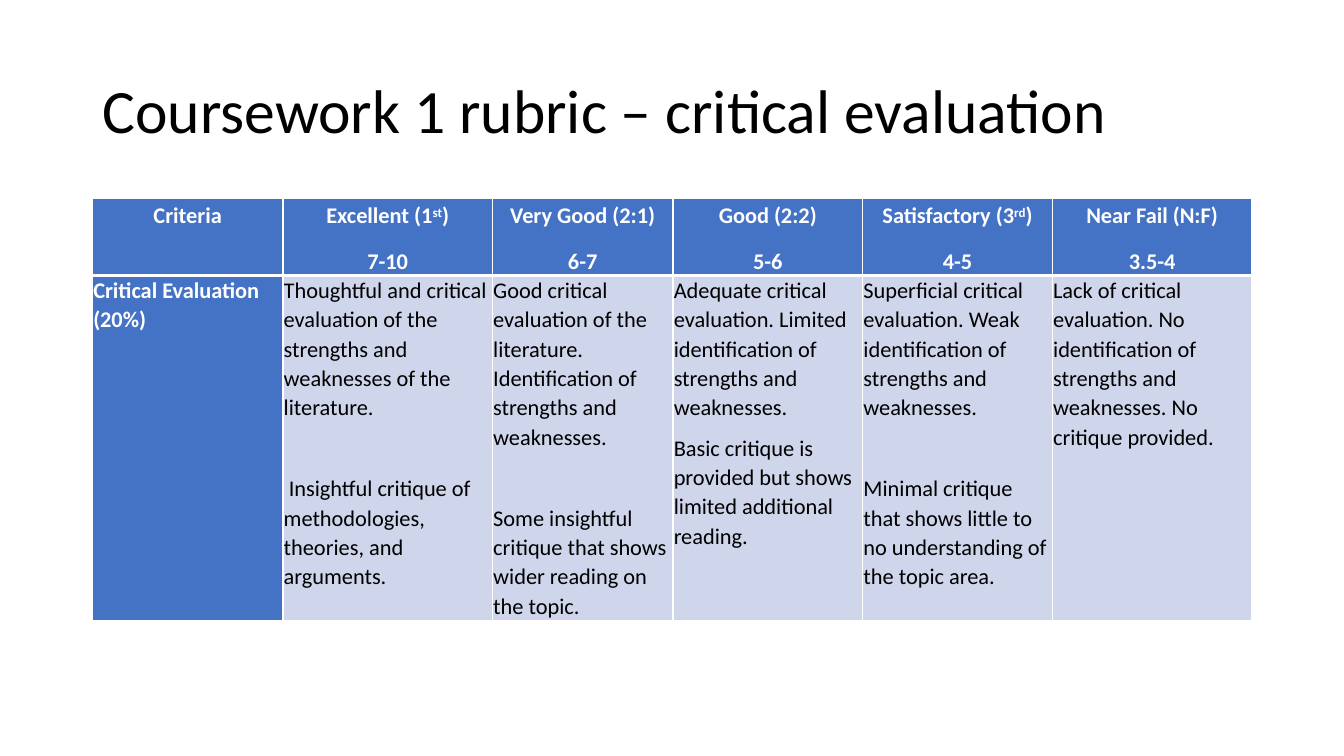
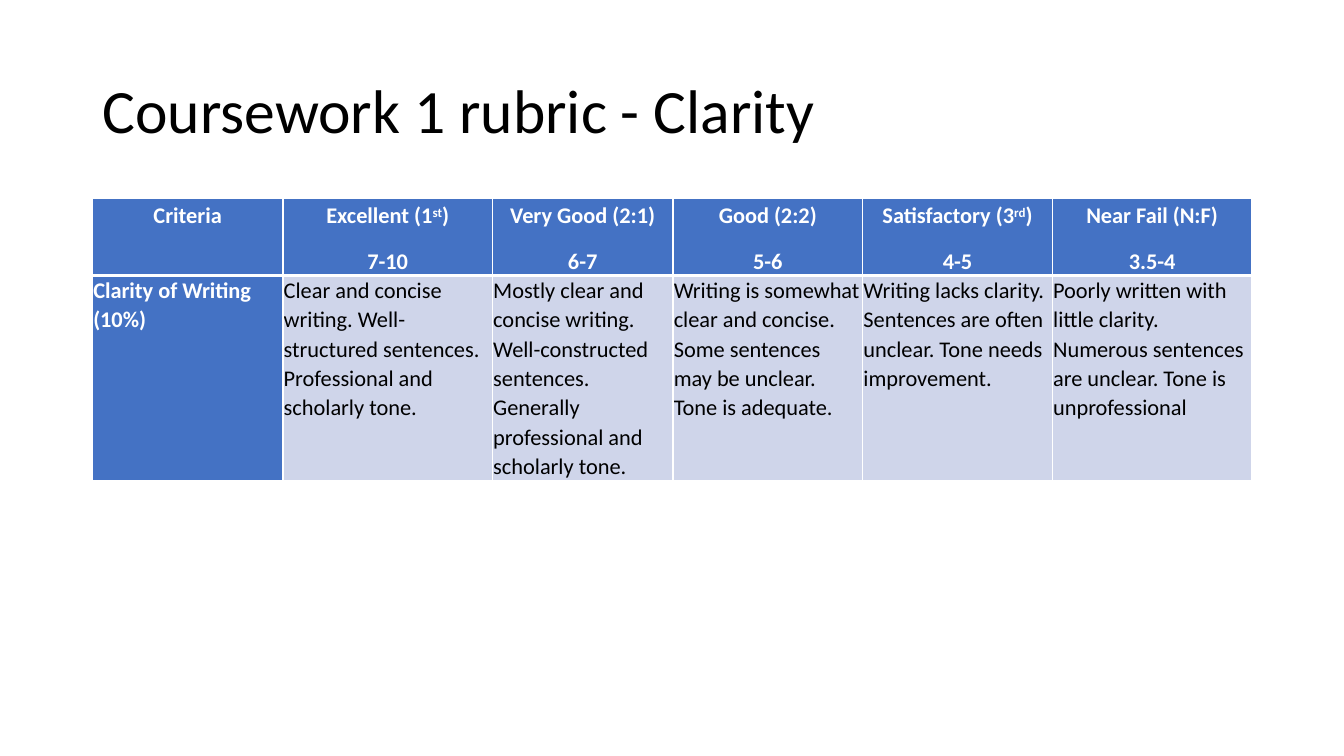
from lxml.etree import SubElement
from pptx import Presentation
from pptx.dml.color import RGBColor
from pptx.enum.text import MSO_ANCHOR, MSO_AUTO_SIZE, PP_ALIGN
from pptx.oxml.ns import qn
from pptx.util import Cm, Pt

FONT = "Calibri"
BLACK, WHITE, BLUE, PALE_BLUE = "000000", "FFFFFF", "4472C4", "CFD5EA"
TITLE_BOX = (2.33, 1.01, 29.21, 3.68)
RUBRIC_LEFT, RUBRIC_TOP = 2.33, 5.0
COLUMN_WIDTHS = (4.8, 5.28, 4.55, 4.78, 4.78, 5.03)
HEADER_HEIGHT = 1.9
THIN, THICK = 1, 3
SECTION_GAP = 29

GRADES = (
    ("Criteria",),
    ("Excellent (1^st^)", "7-10"),
    ("Very Good (2:1)", "6-7"),
    ("Good (2:2)", "5-6"),
    ("Satisfactory (3^rd^)", "4-5"),
    ("Near Fail (N:F)", "3.5-4"),
)

RUBRICS = (
    {
        "title": "Coursework 1 rubric – critical evaluation",
        "criterion": "Critical Evaluation (20%)",
        "height": 8.6,
        "descriptors": (
            (("Thoughtful and critical evaluation of the strengths and weaknesses of the literature.",
              " Insightful critique of methodologies, theories, and arguments."), SECTION_GAP),
            (("Good critical evaluation of the literature. Identification of strengths and weaknesses.",
              "Some insightful critique that shows wider reading on the topic."), SECTION_GAP),
            (("Adequate critical evaluation. Limited identification of strengths and weaknesses.",
              "Basic critique is provided but shows limited additional reading."), 0),
            (("Superficial critical evaluation. Weak identification of strengths and weaknesses.",
              "Minimal critique that shows little to no understanding of the topic area."), SECTION_GAP),
            (("Lack of critical evaluation. No identification of strengths and weaknesses. "
              "No critique provided.",), 0),
        ),
    },
    {
        "title": "Coursework 1 rubric - Clarity",
        "criterion": "Clarity of Writing (10%)",
        "height": 5.1,
        "descriptors": (
            (("Clear and concise writing. Well-structured sentences. "
              "Professional and scholarly tone.",), 0),
            (("Mostly clear and concise writing. Well-constructed sentences. "
              "Generally professional and scholarly tone.",), 0),
            (("Writing is somewhat clear and concise. Some sentences may be unclear. "
              "Tone is adequate.",), 0),
            (("Writing lacks clarity. Sentences are often unclear. Tone needs improvement.",), 0),
            (("Poorly written with little clarity. Numerous sentences are unclear. "
              "Tone is unprofessional",), 0),
        ),
    },
)


def colour(hex_value):
    """Turn a hex string into a colour."""
    return RGBColor.from_string(hex_value)


def add_run(paragraph, text, size, hex_value, bold=False, superscript=False):
    """Append one formatted run to a paragraph."""
    run = paragraph.add_run()
    run.text = text
    run.font.name = FONT
    run.font.size = Pt(size)
    run.font.bold = bold
    run.font.color.rgb = colour(hex_value)
    if superscript:
        run.font._element.set("baseline", "30000")


def set_borders(cell, top, bottom):
    """Draw white cell borders with the given top and bottom widths."""
    properties = cell._tc.get_or_add_tcPr()
    for side, width in (("L", THIN), ("R", THIN), ("T", top), ("B", bottom)):
        line = SubElement(properties, qn(f"a:ln{side}"), w=str(Pt(width)))
        SubElement(SubElement(line, qn("a:solidFill")), qn("a:srgbClr"), val=WHITE)


def fill_cell(cell, texts, heading=False, label=False, gap=0):
    """Write a rubric cell, with text between carets raised."""
    set_borders(cell, THIN if heading else THICK, THICK if heading else THIN)
    strong = heading or label
    cell.fill.solid()
    cell.fill.fore_color.rgb = colour(BLUE if strong else PALE_BLUE)
    cell.margin_left = cell.margin_right = Cm(0.02)
    cell.margin_top = cell.margin_bottom = Cm(0)
    frame = cell.text_frame
    for index, text in enumerate(texts):
        paragraph = frame.add_paragraph() if index else frame.paragraphs[0]
        paragraph.alignment = PP_ALIGN.CENTER if heading else PP_ALIGN.LEFT
        paragraph.line_spacing = 1.15 if heading else 1.07
        paragraph.space_before = Pt(gap if index else 0)
        paragraph.space_after = Pt(10 if heading else 8)
        for part, piece in enumerate(text.split("^")):
            add_run(paragraph, piece, 16, WHITE if strong else BLACK, strong, part % 2 == 1)


def place_title(slide, text, box):
    """Move the title placeholder into a box and write the heading."""
    title = slide.shapes.title
    title.left, title.top, title.width, title.height = map(Cm, box)
    frame = title.text_frame
    frame.auto_size = MSO_AUTO_SIZE.NONE
    frame.word_wrap = True
    frame.vertical_anchor = MSO_ANCHOR.MIDDLE
    paragraph = frame.paragraphs[0]
    paragraph.alignment = PP_ALIGN.LEFT
    paragraph.line_spacing = 0.9
    add_run(paragraph, text, 44, BLACK)


def place_rubric(slide, rubric, left, top):
    """Place the table of grades and descriptors at a corner."""
    heights = (HEADER_HEIGHT, rubric["height"])
    table = slide.shapes.add_table(
        len(heights), len(COLUMN_WIDTHS), Cm(left), Cm(top),
        Cm(sum(COLUMN_WIDTHS)), Cm(sum(heights))).table
    table.first_col = True
    table.horz_banding = False
    for column, width in zip(table.columns, COLUMN_WIDTHS):
        column.width = Cm(width)
    for row, height in zip(table.rows, heights):
        row.height = Cm(height)
    for index, grade in enumerate(GRADES):
        fill_cell(table.cell(0, index), grade, heading=True)
    fill_cell(table.cell(1, 0), (rubric["criterion"],), label=True)
    for index, (texts, gap) in enumerate(rubric["descriptors"], 1):
        fill_cell(table.cell(1, index), texts, gap=gap)


def add_rubric_slide(deck, rubric):
    """Add one slide with a title and its rubric."""
    slide = deck.slides.add_slide(deck.slide_layouts[5])
    place_title(slide, rubric["title"], TITLE_BOX)
    place_rubric(slide, rubric, RUBRIC_LEFT, RUBRIC_TOP)


def main():
    """Build and save the deck."""
    deck = Presentation()
    deck.slide_width, deck.slide_height = Cm(33.87), Cm(19.05)
    for rubric in RUBRICS:
        add_rubric_slide(deck, rubric)
    deck.save("out.pptx")


if __name__ == "__main__":
    main()
